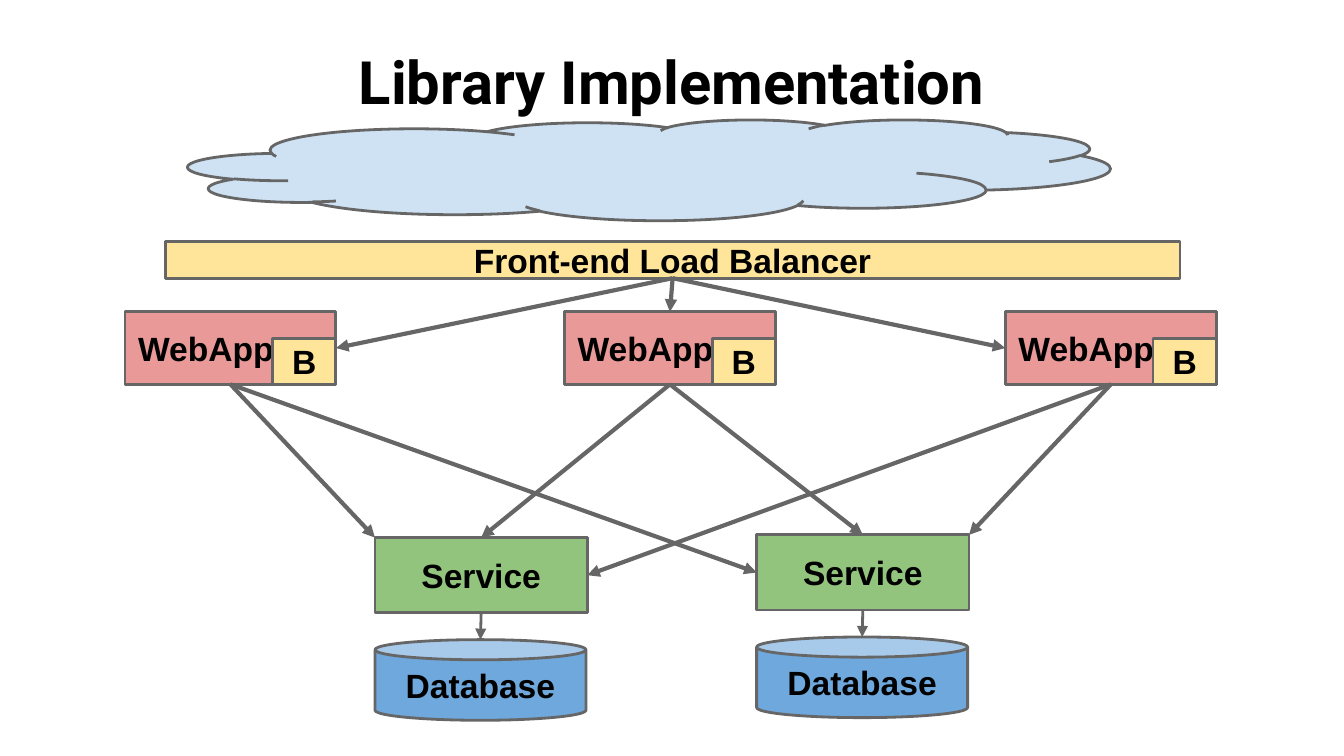
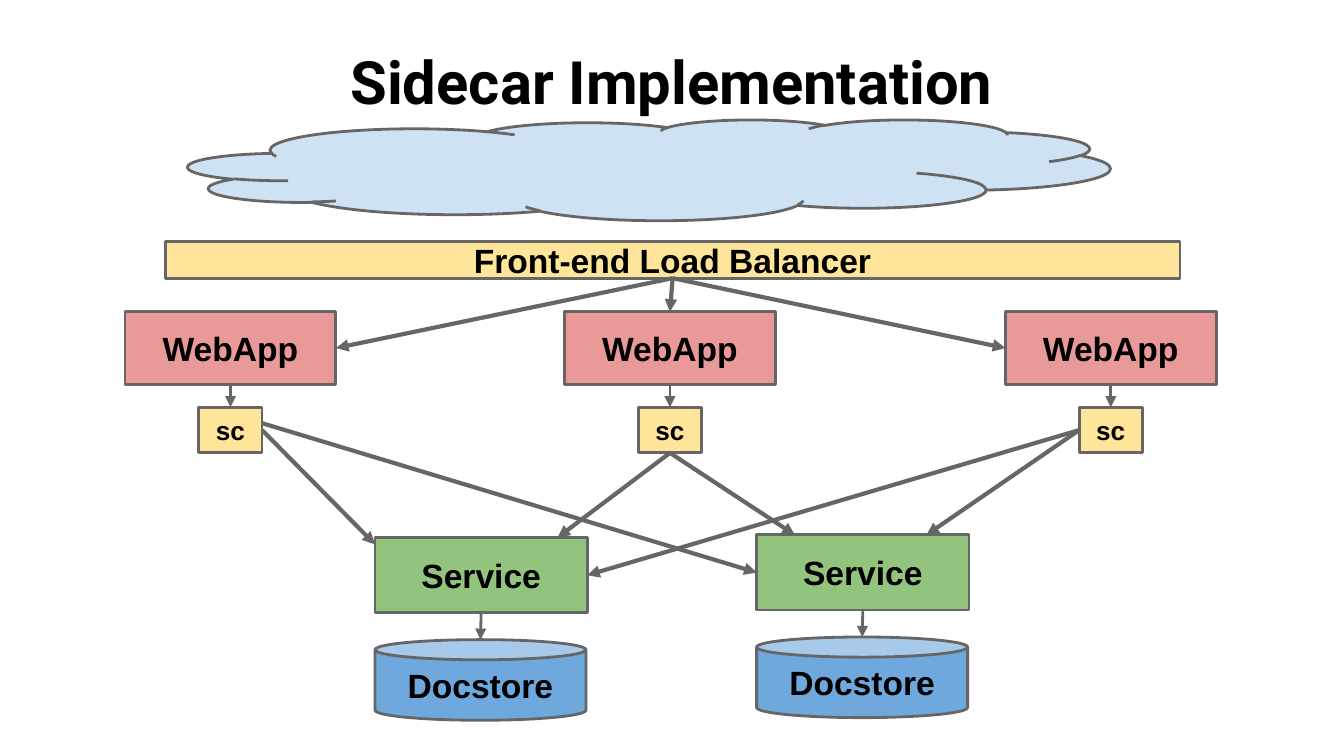
from dataclasses import dataclass

from lxml.etree import SubElement
from pptx import Presentation
from pptx.dml.color import RGBColor
from pptx.enum.shapes import MSO_CONNECTOR, MSO_SHAPE
from pptx.enum.text import MSO_ANCHOR, PP_ALIGN
from pptx.oxml.ns import qn
from pptx.util import Emu, Pt

PX = 9144


@dataclass(frozen=True)
class Theme:
    title_font: str = "Roboto"
    font: str = "Arial"
    title_size: int = 32
    label_size: int = 18
    small_size: int = 14
    outline: float = 1.5
    arrow: float = 2.25
    text: str = "000000"
    line: str = "666666"
    cloud: str = "CFE2F3"
    web: str = "EA9999"
    accent: str = "FFE599"
    service: str = "93C47D"
    store: str = "6FA8DC"


THEME = Theme()

TOP, BOTTOM, LEFT, RIGHT = (0.5, 0), (0.5, 1), (0, 0.5), (1, 0.5)
TOP_LEFT, TOP_RIGHT = (0, 0), (1, 0)

TITLE = (50, 23, 900, 94)
CLOUD = (140, 89, 686, 75)
BALANCER = (123, 180, 755, 27)
WEB_XS, WEB_Y, WEB_SIZE = (93, 420, 748), 232, (157, 54)
BADGE_SIZE = (47, 34)
SERVICES = [(279, 400, 158, 56), (563, 398, 158, 56)]
STORE_DROP, STORE_SIZE = 76, (157, 60)

BALANCER_LINKS = [
    ("balancer", BOTTOM, "web0", RIGHT),
    ("balancer", BOTTOM, "web1", TOP),
    ("balancer", BOTTOM, "web2", LEFT),
]

SLIDES = [
    {
        "title": "Library Implementation",
        "store": "Database",
        "web_align": PP_ALIGN.LEFT,
        "badge": ("B", THEME.label_size, (110, 20)),
        "badge_arrows": False,
        "links": [
            ("web0", BOTTOM, "service0", TOP_LEFT),
            ("web0", BOTTOM, "service1", LEFT),
            ("web1", BOTTOM, "service0", TOP),
            ("web1", BOTTOM, "service1", TOP),
            ("web2", BOTTOM, "service0", RIGHT),
            ("web2", BOTTOM, "service1", TOP_RIGHT),
        ],
    },
    {
        "title": "Sidecar Implementation",
        "store": "Docstore",
        "web_align": PP_ALIGN.CENTER,
        "badge": ("sc", THEME.small_size, (55, 71)),
        "badge_arrows": True,
        "links": [
            ("badge0", RIGHT, "service0", (0, 0.09)),
            ("badge0", (1, 0.35), "service1", LEFT),
            ("badge1", BOTTOM, "service0", (0.86, 0)),
            ("badge1", BOTTOM, "service1", (0.18, 0)),
            ("badge2", LEFT, "service0", RIGHT),
            ("badge2", LEFT, "service1", (0.8, 0)),
        ],
    },
]


def emu(*lengths):
    return [Emu(round(n * PX)) for n in lengths]


def rgb(color):
    return RGBColor.from_string(color)


def write(tf, text, font, size, align, anchor):
    tf.word_wrap = True
    tf.vertical_anchor = anchor
    tf.margin_left = tf.margin_right = tf.margin_top = tf.margin_bottom = Emu(10 * PX)
    p = tf.paragraphs[0]
    p.text = text
    p.alignment = align
    p.font.name, p.font.size, p.font.bold = font, Pt(size), True
    p.font.color.rgb = rgb(THEME.text)


def add_box(shapes, box, fill, text="", kind=MSO_SHAPE.RECTANGLE,
            size=THEME.label_size, align=PP_ALIGN.CENTER):
    sp = shapes.add_shape(kind, *emu(*box))
    sp.shadow.inherit = False
    sp.fill.solid()
    sp.fill.fore_color.rgb = rgb(fill)
    sp.line.color.rgb = rgb(THEME.line)
    sp.line.width = Pt(THEME.outline)
    if text:
        write(sp.text_frame, text, THEME.font, size, align, MSO_ANCHOR.MIDDLE)


def anchor_point(box, side):
    x, y, w, h = box
    return x + w * side[0], y + h * side[1]


def add_arrow(shapes, start, end, width=THEME.arrow):
    cxn = shapes.add_connector(MSO_CONNECTOR.STRAIGHT, *emu(*start, *end))
    cxn.line.color.rgb = rgb(THEME.line)
    cxn.line.width = Pt(width)
    SubElement(cxn.line._get_or_add_ln(), qn("a:tailEnd"), type="triangle")
    SubElement(cxn._element.spPr, qn("a:effectLst"))


def add_service(shapes, box, store_text):
    group = shapes.add_group_shape().shapes
    store = (box[0], box[1] + STORE_DROP, *STORE_SIZE)
    add_box(group, box, THEME.service, "Service")
    add_box(group, store, THEME.store, store_text, MSO_SHAPE.CAN)
    add_arrow(group, anchor_point(box, BOTTOM), anchor_point(store, TOP), THEME.outline)


def add_title(slide, text):
    sp = slide.shapes.title
    sp.left, sp.top, sp.width, sp.height = emu(*TITLE)
    write(sp.text_frame, text, THEME.title_font, THEME.title_size,
          PP_ALIGN.CENTER, MSO_ANCHOR.TOP)


def build_slide(prs, content):
    slide = prs.slides.add_slide(prs.slide_layouts[5])
    shapes = slide.shapes
    add_title(slide, content["title"])
    add_box(shapes, CLOUD, THEME.cloud, kind=MSO_SHAPE.CLOUD)
    add_box(shapes, BALANCER, THEME.accent, "Front-end Load Balancer")

    badge_text, badge_size, (dx, dy) = content["badge"]
    boxes = {"balancer": BALANCER}
    for i, x in enumerate(WEB_XS):
        boxes[f"web{i}"] = (x, WEB_Y, *WEB_SIZE)
        boxes[f"badge{i}"] = (x + dx, WEB_Y + dy, *BADGE_SIZE)
        add_box(shapes, boxes[f"web{i}"], THEME.web, "WebApp", align=content["web_align"])
    for i, box in enumerate(SERVICES):
        boxes[f"service{i}"] = box
        add_service(shapes, box, content["store"])

    for source, out_side, target, in_side in BALANCER_LINKS + content["links"]:
        add_arrow(shapes, anchor_point(boxes[source], out_side),
                  anchor_point(boxes[target], in_side))
    for i in range(len(WEB_XS)):
        web, badge = boxes[f"web{i}"], boxes[f"badge{i}"]
        add_box(shapes, badge, THEME.accent, badge_text, size=badge_size)
        if content["badge_arrows"]:
            add_arrow(shapes, anchor_point(web, BOTTOM), anchor_point(badge, TOP),
                      THEME.outline)


def main():
    prs = Presentation()
    prs.slide_width, prs.slide_height = emu(1000, 562.5)
    for content in SLIDES:
        build_slide(prs, content)
    prs.save("out.pptx")


if __name__ == "__main__":
    main()
